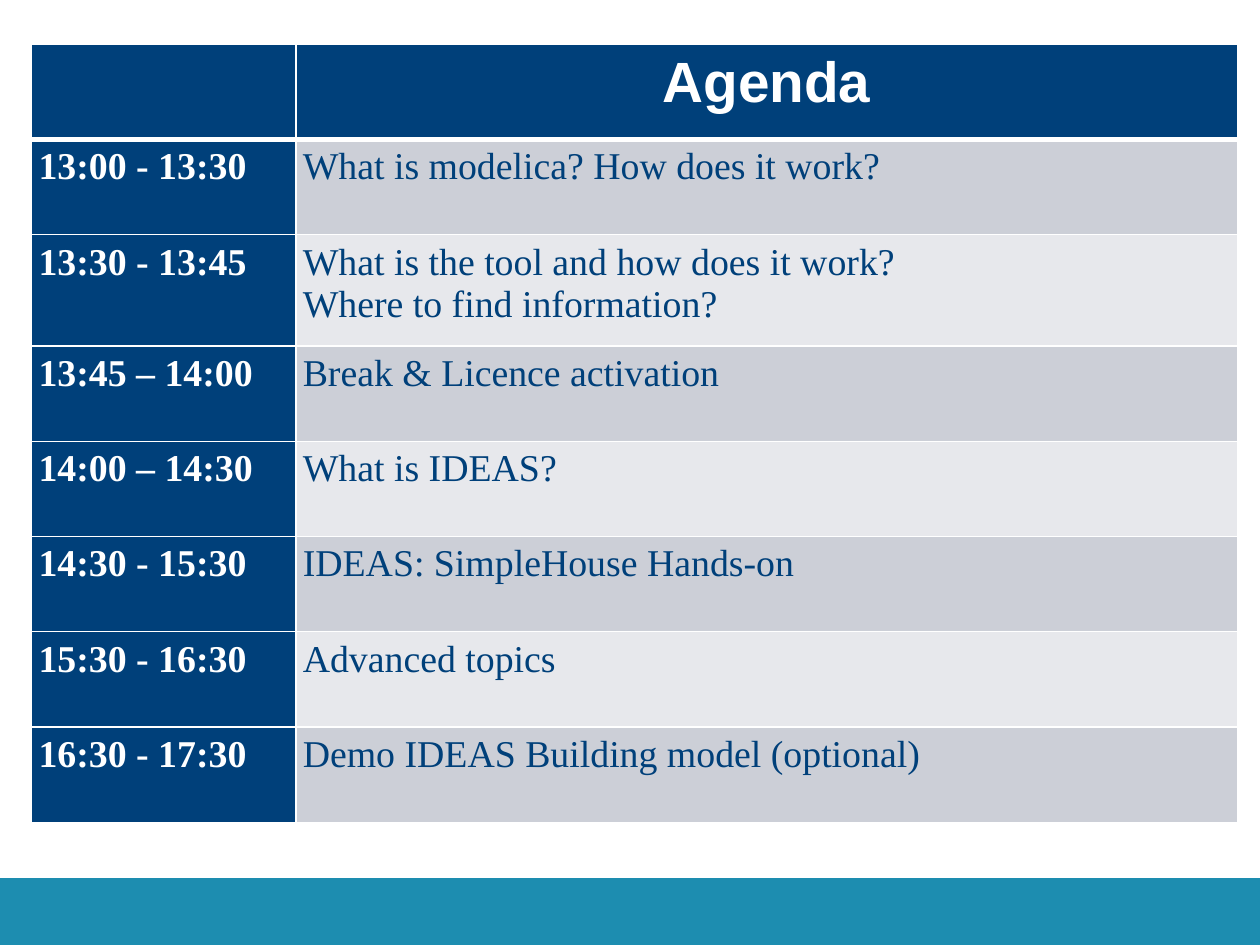
from lxml.etree import SubElement
from pptx import Presentation
from pptx.dml.color import RGBColor
from pptx.enum.shapes import MSO_SHAPE
from pptx.enum.text import PP_ALIGN
from pptx.oxml.ns import qn
from pptx.util import Inches, Pt

COLORS = {
    "navy": "00407A",
    "teal": "1D8DB0",
    "white": "FFFFFF",
    "dark_band": "CCCFD7",
    "light_band": "E7E8EC",
}
HEADING = {"name": "Arial", "size": Pt(36), "bold": True}
TIME = {"name": "Times New Roman", "size": Pt(24), "bold": True}
TOPIC = {**TIME, "bold": False}
MARGINS = ("margin_left", "margin_top", "margin_right", "margin_bottom")

COLUMN_WIDTHS = (2.33, 8.3)
ROW_HEIGHT = 0.84
TALL_ROW_HEIGHT = 0.98
AGENDA = [
    ("13:00 - 13:30", "What is modelica? How does it work?"),
    ("13:30 - 13:45", "What is the tool and how does it work?\nWhere to find information?"),
    ("13:45 – 14:00", "Break & Licence activation"),
    ("14:00 – 14:30", "What is IDEAS?"),
    ("14:30 - 15:30", "IDEAS: SimpleHouse Hands-on"),
    ("15:30 - 16:30", "Advanced topics"),
    ("16:30 - 17:30", "Demo IDEAS Building model (optional)"),
]


def color(name):
    return RGBColor.from_string(COLORS[name])


def set_borders(cell, top=1, bottom=1):
    """Draw white cell borders, with widths in points."""
    properties = cell._tc.get_or_add_tcPr()
    for side, width in {"L": 1, "R": 1, "T": top, "B": bottom}.items():
        line = SubElement(properties, qn(f"a:ln{side}"), w=str(Pt(width)))
        fill = SubElement(line, qn("a:solidFill"))
        SubElement(fill, qn("a:srgbClr"), val=COLORS["white"])


def format_cell(cell, text, font_format, text_color, fill_color,
                alignment=PP_ALIGN.LEFT, **borders):
    set_borders(cell, **borders)
    cell.fill.solid()
    cell.fill.fore_color.rgb = color(fill_color)
    for margin in MARGINS:
        setattr(cell, margin, Inches(0.06))
    cell.text = text
    for paragraph in cell.text_frame.paragraphs:
        paragraph.alignment = alignment
        for run in paragraph.runs:
            for name, value in font_format.items():
                setattr(run.font, name, value)
            run.font.color.rgb = color(text_color)


def add_footer_band(slide):
    band = slide.shapes.add_shape(
        MSO_SHAPE.RECTANGLE, 0, Inches(7.74), Inches(11.11), Inches(0.59))
    band.shadow.inherit = False
    band.fill.solid()
    band.fill.fore_color.rgb = color("teal")
    band.line.fill.background()


def add_agenda(slide):
    heights = [ROW_HEIGHT] + [
        TALL_ROW_HEIGHT if "\n" in topic else ROW_HEIGHT for _, topic in AGENDA]
    table = slide.shapes.add_table(
        len(heights), len(COLUMN_WIDTHS), Inches(0.28), Inches(0.39),
        Inches(sum(COLUMN_WIDTHS)), Inches(sum(heights))).table
    for column, width in zip(table.columns, COLUMN_WIDTHS):
        column.width = Inches(width)
    for row, height in zip(table.rows, heights):
        row.height = Inches(height)

    for column, heading in enumerate(("", "Agenda")):
        format_cell(table.cell(0, column), heading, HEADING, "white", "navy",
                    PP_ALIGN.CENTER, bottom=3)
    for row, (time, topic) in enumerate(AGENDA, start=1):
        top = 3 if row == 1 else 1
        band = "dark_band" if row % 2 else "light_band"
        format_cell(table.cell(row, 0), time, TIME, "white", "navy", top=top)
        format_cell(table.cell(row, 1), topic, TOPIC, "navy", band, top=top)


def main():
    presentation = Presentation()
    presentation.slide_width = Inches(11.11)
    presentation.slide_height = Inches(8.33)
    slide = presentation.slides.add_slide(presentation.slide_layouts[6])
    add_footer_band(slide)
    add_agenda(slide)
    presentation.save("out.pptx")


if __name__ == "__main__":
    main()
